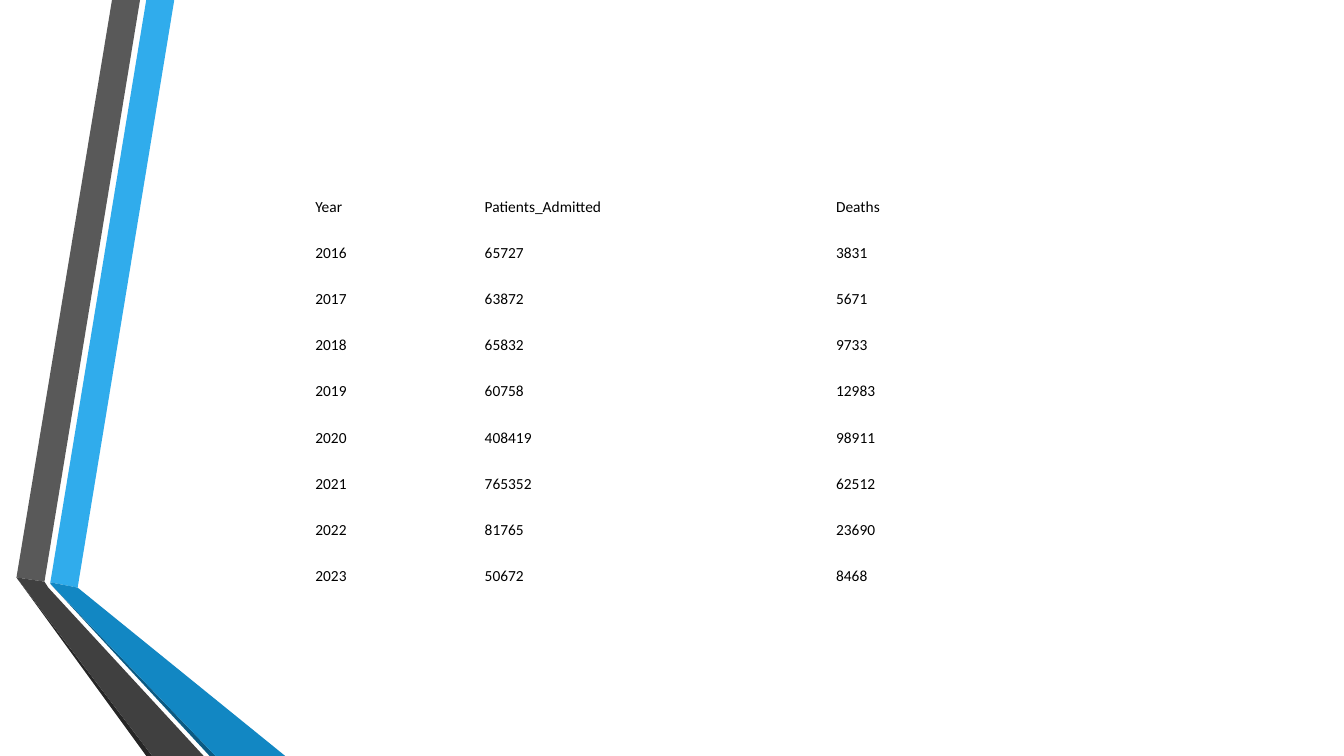
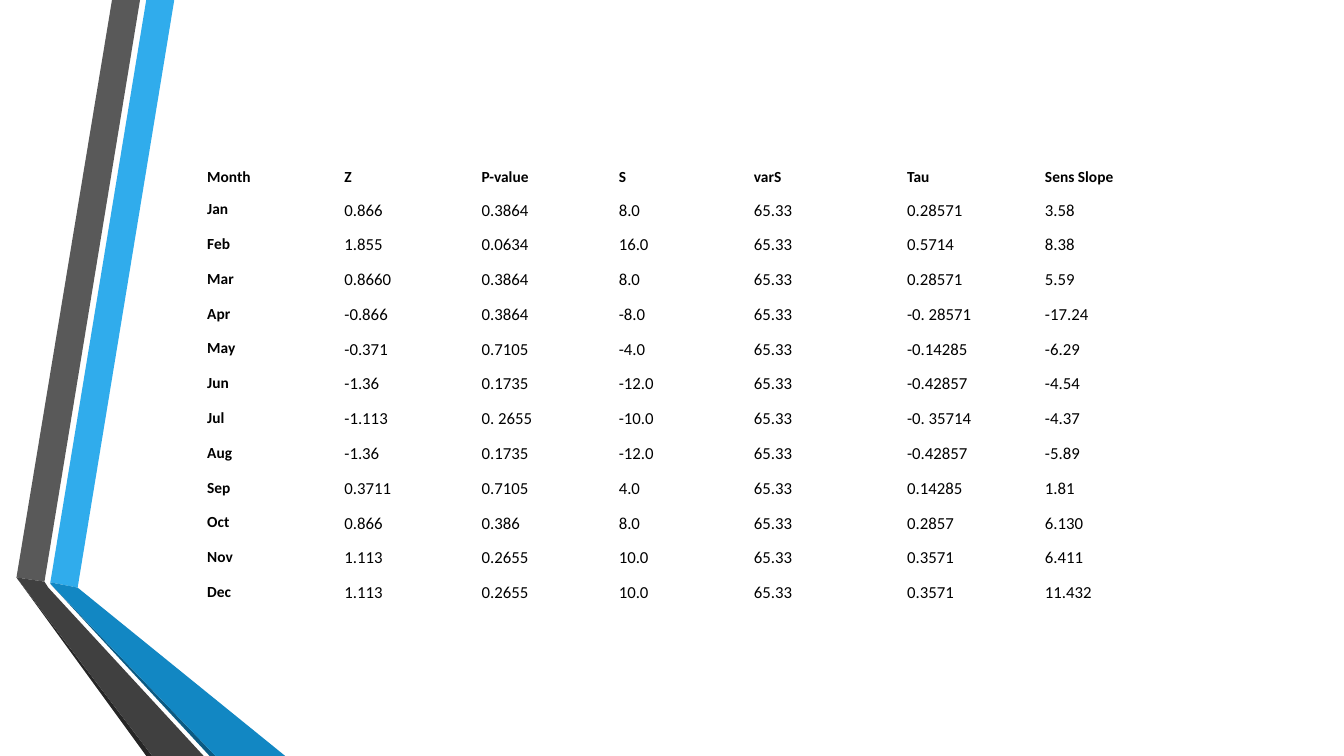
import lxml.etree
import pptx
import pptx.dml.color
import pptx.enum.text
import pptx.oxml.ns
import pptx.util

Pt = pptx.util.Pt
WHITE, BLACK = "FFFFFF", "000000"
FONT = "Calibri"
BAND_OUTLINES = [
    ("30ACEC", [(36, 416), (55.5, 419.75), (124.5, 0), (104.5, 0)]),
    ("595959", [(100, 0), (80, 0), (11.75, 412.5), (31.75, 415.5)]),
    ("262626", [(11.75, 412.5), (104.5, 540), (108.75, 540)]),
    ("0C5A82", [(36, 417), (149.75, 540), (154, 540)]),
    ("1287C3", [(36, 417), (154, 540), (203.75, 540), (55.5, 419.75), (36, 416)]),
    ("404040", [(145.5, 540), (34.5, 419.75), (31.75, 415.5), (11.75, 412.5), (108.75, 540)]),
]

ADMISSIONS = [
    ("Year", "Patients_Admitted", "Deaths"),
    ("2016", "65727", "3831"),
    ("2017", "63872", "5671"),
    ("2018", "65832", "9733"),
    ("2019", "60758", "12983"),
    ("2020", "408419", "98911"),
    ("2021", "765352", "62512"),
    ("2022", "81765", "23690"),
    ("2023", "50672", "8468"),
]
TRENDS = [
    ("Month", "Z", "P-value", "S", "varS", "Tau", "Sens Slope"),
    ("Jan", "0.866", "0.3864", "8.0", "65.33", "0.28571", "3.58"),
    ("Feb", "1.855", "0.0634", "16.0", "65.33", "0.5714", "8.38"),
    ("Mar", "0.8660", "0.3864", "8.0", "65.33", "0.28571", "5.59"),
    ("Apr", "-0.866", "0.3864", "-8.0", "65.33", "-0. 28571", "-17.24"),
    ("May", "-0.371", "0.7105", "-4.0", "65.33", "-0.14285", "-6.29"),
    ("Jun", "-1.36", "0.1735", "-12.0", "65.33", "-0.42857", "-4.54"),
    ("Jul", "-1.113", "0. 2655", "-10.0", "65.33", "-0. 35714", "-4.37"),
    ("Aug", "-1.36", "0.1735", "-12.0", "65.33", "-0.42857", "-5.89"),
    ("Sep", "0.3711", "0.7105", "4.0", "65.33", "0.14285", "1.81"),
    ("Oct", "0.866", "0.386", "8.0", "65.33", "0.2857", "6.130"),
    ("Nov", "1.113", "0.2655", "10.0", "65.33", "0.3571", "6.411"),
    ("Dec", "1.113", "0.2655", "10.0", "65.33", "0.3571", "11.432"),
]


def paint(color_format, hex_color):
    """Give a fill's or font's colour the hex value."""
    color_format.rgb = pptx.dml.color.RGBColor.from_string(hex_color)


def apply_format(target, values):
    """Set every attribute in values on target."""
    for attribute, value in values.items():
        setattr(target, attribute, value)


def add_bands(slide, layout, left, top):
    """Draw the folded bands from a corner and place them on the layout."""
    for hex_color, outline in BAND_OUTLINES:
        points = [(Pt(left + x), Pt(top + y)) for x, y in outline]
        builder = slide.shapes.build_freeform(*points[0])
        builder.add_line_segments(points[1:], close=True)
        band = builder.convert_to_shape()
        band.shadow.inherit = False
        band.fill.solid()
        paint(band.fill.fore_color, hex_color)
        band.line.fill.background()
        layout.shapes.element.append(band.element)


def set_borders(cell, bottom_width):
    """Give a cell white borders, with its own width at the bottom."""
    properties = cell._tc.get_or_add_tcPr()
    widths = {"a:lnL": 1, "a:lnR": 1, "a:lnT": 1, "a:lnB": bottom_width}
    for position, (side, width) in enumerate(widths.items()):
        border = lxml.etree.Element(pptx.oxml.ns.qn(side), w=str(Pt(width)))
        fill = lxml.etree.SubElement(border, pptx.oxml.ns.qn("a:solidFill"))
        lxml.etree.SubElement(fill, pptx.oxml.ns.qn("a:srgbClr"), val=WHITE)
        properties.insert(position, border)


def fill_cell(cell, text, cell_format, font_format, line_spacing, bottom_width):
    """Write and format one table cell."""
    cell.text = text
    apply_format(cell, cell_format)
    cell.fill.solid()
    paint(cell.fill.fore_color, WHITE)
    set_borders(cell, bottom_width)
    paragraph = cell.text_frame.paragraphs[0]
    paragraph.line_spacing = line_spacing
    font = paragraph.runs[0].font
    apply_format(font, {"name": FONT, **font_format})
    paint(font.color, BLACK)


def add_data_table(slide, left, top, widths, heights, records, cell_format,
                   label_font, value_font, line_spacing=1.0, header_rule=1):
    """Place a table whose header row and first column use the label font."""
    frame = slide.shapes.add_table(len(records), len(widths), Pt(left), Pt(top),
                                   Pt(sum(widths)), Pt(sum(heights)))
    table = frame.table
    apply_format(table, {"first_row": False, "horz_banding": False})
    for column, width in zip(table.columns, widths):
        column.width = Pt(width)
    for row, height in zip(table.rows, heights):
        row.height = Pt(height)
    for r, record in enumerate(records):
        for c, text in enumerate(record):
            font_format = label_font if r == 0 or c == 0 else value_font
            fill_cell(table.cell(r, c), text, cell_format, font_format,
                      line_spacing, header_rule if r == 0 else 1)


def add_admissions(slide, left, top):
    """Place the yearly admissions and deaths."""
    cell_format = {"margin_left": Pt(0.75), "margin_right": Pt(0.75),
                   "margin_top": Pt(0.75), "margin_bottom": 0,
                   "vertical_anchor": pptx.enum.text.MSO_ANCHOR.BOTTOM}
    plain = {"size": Pt(11), "bold": False}
    add_data_table(slide, left, top, [121, 251, 193.5], [33] * len(ADMISSIONS),
                   ADMISSIONS, cell_format, plain, plain)


def add_trends(slide, left, top):
    """Place the monthly trend statistics."""
    cell_format = {"margin_left": Pt(5), "margin_right": Pt(5),
                   "margin_top": 0, "margin_bottom": 0,
                   "vertical_anchor": pptx.enum.text.MSO_ANCHOR.TOP}
    add_data_table(slide, left, top, [98, 98, 98, 96.5, 109.5, 98.5, 98],
                   [23] + [24.85] * (len(TRENDS) - 1), TRENDS, cell_format,
                   {"size": Pt(11), "bold": True}, {"size": Pt(12), "bold": False},
                   line_spacing=1.07, header_rule=3)


def main():
    """Build and save the presentation."""
    presentation = pptx.Presentation()
    apply_format(presentation, {"slide_width": Pt(960), "slide_height": Pt(540)})
    layout = presentation.slide_layouts[6]
    yearly, monthly = [presentation.slides.add_slide(layout) for _ in range(2)]
    add_bands(yearly, layout, 0, 0)
    add_admissions(yearly, 224.5, 121.5)
    add_trends(monthly, 143, 119)
    presentation.save("out.pptx")


if __name__ == "__main__":
    main()
